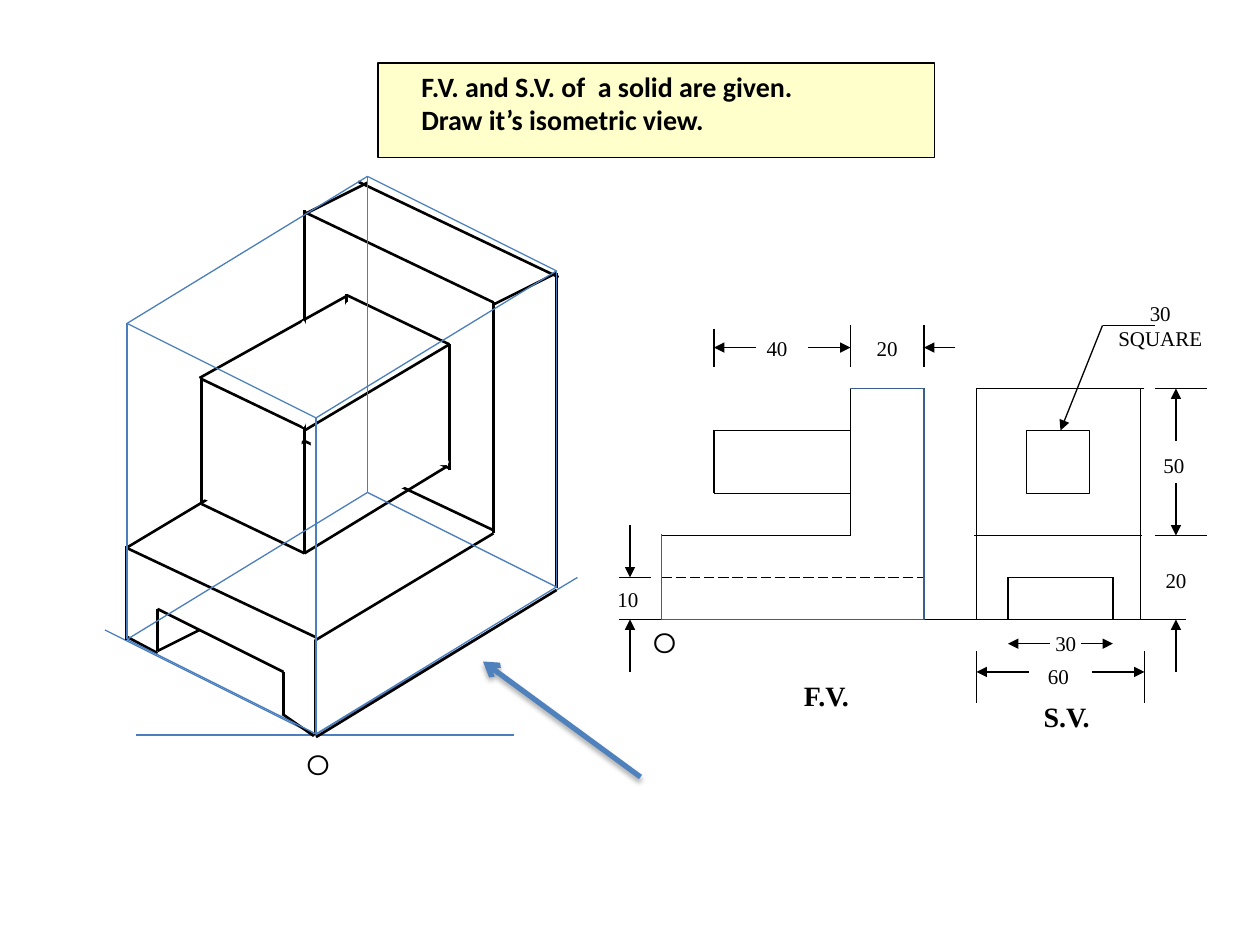
"""Orthographic views of a solid beside its isometric view, on a 120 by 90 grid."""
from itertools import pairwise
from lxml.etree import SubElement
from pptx import Presentation
from pptx.dml.color import RGBColor
from pptx.enum.dml import MSO_LINE as DASH
from pptx.enum.shapes import MSO_CONNECTOR as CONN, MSO_SHAPE as SHAPE
from pptx.enum.text import PP_ALIGN as ALIGN
from pptx.oxml.ns import qn
from pptx.util import Inches, Pt

prs = Presentation()
prs.slide_width, prs.slide_height = Inches(10), Inches(7.5)
s = prs.slides.add_slide(prs.slide_layouts[6])
U = prs.slide_width / 120
rgb = RGBColor.from_string
BLACK, BLUE, WHITE, SERIF = "000000", "4B7EBC", "FFFFFF", "Times New Roman"


def path(points, color=BLACK, width=0.75, tail=None, dash=None):
    for a, b in pairwise(points):
        c = s.shapes.add_connector(CONN.STRAIGHT, *(int(v * U) for v in a + b))
        c.line.color.rgb, c.line.width = rgb(color), Pt(width)
        if dash:
            c.line.dash_style = dash
        if tail:
            SubElement(c.line._get_or_add_ln(), qn("a:tailEnd"), type=tail)
        effects = SubElement(c._element.spPr, qn("a:effectLst"))
    return effects


def block(kind, at, fill=WHITE, line=WHITE, width=0.75, rot=0):
    sp = s.shapes.add_shape(kind, *(int(v * U) for v in at))
    sp.shadow.inherit = False
    sp.rotation = rot
    if fill:
        sp.fill.solid()
        sp.fill.fore_color.rgb = rgb(fill)
    else:
        sp.fill.background()
    if line:
        sp.line.color.rgb, sp.line.width = rgb(line), Pt(width)
    else:
        sp.line.fill.background()
    return sp


for axis in [(13, 70), (49, 70)], [(30, 70), (55, 55)], [(30, 70), (10, 60)]:
    path(axis, BLUE)

solid = [
    [(30, 70), (30, 61), (47, 50.8), (47, 28.8), (29, 20.2)],
    [(47, 50.5), (29, 42), (29, 20)],
    [(53, 56), (53, 26)], [(53.2, 26.4), (34.1, 17.3)],
    [(47, 29), (53, 26)], [(29, 20.4), (35, 17.4)],
    [(30.1, 60.7), (12.1, 52.2)], [(12, 52.2), (29, 42)], [(12, 61), (12, 52)],
    [(42.8, 44.8), (42.8, 32.8), (33, 28.1)],
    [(42.8, 44.6), (33, 40), (33, 28)],
    [(19, 36), (33, 28.2)], [(29, 52.7), (42.6, 44.4)],
    [(29, 52.8), (29, 40.8), (19.2, 36.1)],
    [(29, 52.7), (19.2, 48), (19.2, 36)],
]
for edge in solid:
    path(edge, width=1.5)

face = block(SHAPE.PARALLELOGRAM, (18, 40.1, 12.2, 9), rot=24.2)
face.adjustments[0] = 0.34
face._element.spPr.xfrm.set("flipH", "1")
for at, rot in [((28.4, 30.6, 1, 10), 0), ((32.3, 28.8, 1.8, 11.2), 0),
                ((31.2, 40.6, 12, 2), 24.6)]:
    block(SHAPE.OVAL, at, rot=rot)
path([(29, 41), (42.8, 32.8)], width=1.5)
block(SHAPE.OVAL, (29.2, 43.4, 9.8, 1.7), rot=24.6)

slot = [
    [(15, 62), (15, 58), (27, 64), (27, 68)], [(15, 62), (19, 60)],
    [(29.9, 70.1), (26.9, 68)], [(15, 62.2), (12, 60.6)],
    [(30.1, 70.2), (53, 56.2)],
]
for edge in slot:
    path(edge, width=1.5)

block(SHAPE.RECTANGLE, (97.8, 41, 6, 6), line=BLACK)
views = [
    [(88, 59), (88, 37), (81, 37), (81, 51), (63, 51), (63, 59), (88, 59)],
    [(81, 41), (68, 41), (68, 47), (81, 47)],
    [(109, 37), (93, 37), (93, 59), (96, 59), (96, 55), (106, 55), (106, 59), (109, 59)],
    [(108.6, 37), (108.6, 59)], [(92.8, 51), (108.8, 51)], [(59, 59), (113, 59)],
    [(68, 31.3), (68, 35)], [(81, 31), (81, 35)], [(88, 31), (88, 35)],
    [(110, 37), (115, 37)], [(110, 51), (115, 51)],
    [(93, 62), (93, 67)], [(109, 62), (109, 67)],
    [(59, 55), (62, 55)], [(105, 31), (110, 31)],
]
for outline in views:
    path(outline)
path([(63, 55), (88, 55)], dash=DASH.LONG_DASH)

arrows = [
    [(105, 31), (101, 41)], [(112, 42), (112, 37)], [(112, 46), (112, 51)],
    [(112, 64), (112, 59)], [(98, 64), (93, 64)], [(104, 64), (109, 64)],
    [(103, 61.3), (106, 61.3)], [(100, 61.3), (96, 61.3)],
    [(60, 50), (60, 55)], [(60, 64), (60, 59)],
    [(72, 33.1), (68, 33.1)], [(77, 33.1), (81, 33.1)], [(91, 33.1), (88, 33.1)],
]
for arrow in arrows:
    path(arrow, tail="triangle")

block(SHAPE.RECTANGLE, (36, 6, 53, 9), "FFFFCC", BLACK)
labels = [
    ("40", 74, 31.4, 4.4, 12, SERIF), ("20", 84.5, 31.4, 4.4, 12, SERIF),
    ("30 SQUARE", 110.5, 28, 12.8, 12, SERIF), ("20", 112, 53.5, 4.4, 12, SERIF),
    ("50", 111.8, 42.5, 4.4, 12, SERIF), ("60", 100.8, 62.6, 4.4, 12, SERIF),
    ("30", 101.5, 59.5, 4.4, 12, SERIF), ("10", 59.8, 55.3, 4.4, 12, SERIF),
    ("F.V.", 78.7, 64, 7.3, 16, SERIF), ("S.V.", 101.6, 66, 7.2, 16, SERIF),
    ("O", 30.3, 70.6, 4.7, 16, "Montserrat"), ("O", 63.3, 59, 4.7, 16, "Montserrat"),
    ("F.V. and S.V. of  a solid are given.\nDraw it’s isometric view.",
     58.4, 6, 38.9, 16, "Calibri"),
]
for text, center, top, width, size, font in labels:
    height = 7.7 if "\n" in text else size * 0.28
    at = (center - width / 2, top, width, height)
    tf = s.shapes.add_textbox(*(int(v * U) for v in at)).text_frame
    tf.word_wrap = False
    tf.text = text
    for p in tf.paragraphs:
        p.alignment = ALIGN.LEFT if "\n" in text else ALIGN.CENTER
        f = p.runs[0].font
        f.name, f.size, f.color.rgb = font, Pt(size), rgb(BLACK)
        f.bold = "V." in text

base = [(30.1, 69.9), (53, 55.9), (35, 46.9), (12.1, 60.9)]
lid = [(x, y - 30.1) for x, y in base]
for edge in [base + base[:1], lid + lid[:1], *zip(base, lid)]:
    path(edge, BLUE)

block(SHAPE.RECTANGLE, (63, 37, 25, 22), None, "3A5F8C", 1)
effects = path([(61, 74), (46, 63)], "4F81BD", 3, "arrow")
shadow = SubElement(effects, qn("a:outerShdw"), blurRad=str(Pt(3.1)),
                    dist=str(Pt(1.8)), dir="5400000", rotWithShape="0")
SubElement(SubElement(shadow, qn("a:srgbClr"), val=BLACK), qn("a:alpha"), val="35000")
block(SHAPE.RECTANGLE, (61.8, 36.2, 19, 2.2), width=2)
block(SHAPE.RECTANGLE, (52.9, 40, 18.7, 3), line=None, rot=90)

prs.save("out.pptx")
